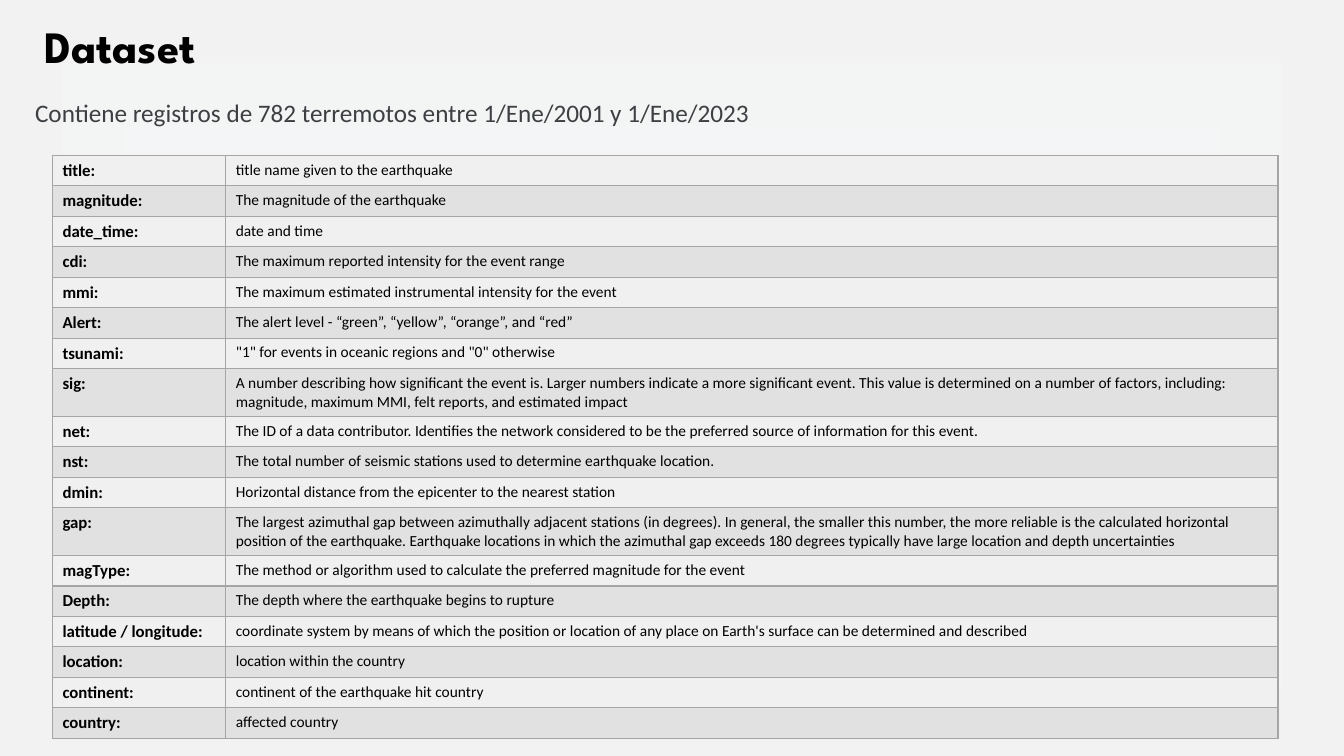
from dataclasses import dataclass

import lxml.etree
import pptx
import pptx.dml.color
import pptx.enum.text
import pptx.oxml.ns
import pptx.shapes.base
import pptx.slide
import pptx.table
import pptx.text.text
import pptx.util

# Grid of square cells, twelve to the inch
GRID_COLUMNS, GRID_ROWS = 160, 90
CELL = pptx.util.Inches(1) / 12


@dataclass(frozen=True)
class Theme:
    background_center: str = "F7FAFD"
    background_edge: str = "F2F2F2"
    text: str = "000000"
    subtitle: str = "3C4043"
    border: str = "A5A5A5"
    bands: tuple[str, str] = ("F0F0F0", "E1E1E1")
    title_font: str = "League Spartan"
    body_font: str = "Calibri"
    title_size: int = 32
    subtitle_size: int = 18
    name_size: int = 12
    description_size: int = 11
    border_width: int = 1


@dataclass(frozen=True)
class Frame:
    """A place on the slide, in grid columns and rows."""
    left: float
    top: float
    width: float
    height: float


@dataclass(frozen=True)
class Field:
    """One column of the dataset and the number of lines its description takes."""
    name: str
    description: str
    lines: int = 1


THEME = Theme()
TITLE_FRAME = Frame(4.08, 3.36, 151.8, 5.04)
SUBTITLE_FRAME = Frame(3, 11.04, 138.36, 4.8)
TABLE_LEFT, TABLE_TOP = 6.24, 18.48
TABLE_COLUMNS = (20.64, 125.28)
ROW_HEIGHTS = {1: 3.63, 2: 5.68}

FIELDS = (
    Field("title:", "title name given to the earthquake"),
    Field("magnitude:", "The magnitude of the earthquake"),
    Field("date_time:", "date and time"),
    Field("cdi:", "The maximum reported intensity for the event range"),
    Field("mmi:", "The maximum estimated instrumental intensity for the event"),
    Field("Alert:", "The alert level - “green”, “yellow”, “orange”, and “red”"),
    Field("tsunami:", '"1" for events in oceanic regions and "0" otherwise'),
    Field("sig:", "A number describing how significant the event is. Larger numbers indicate "
          "a more significant event. This value is determined on a number of factors, including: "
          "magnitude, maximum MMI, felt reports, and estimated impact", lines=2),
    Field("net:", "The ID of a data contributor. Identifies the network considered to be "
          "the preferred source of information for this event."),
    Field("nst:", "The total number of seismic stations used to determine earthquake location."),
    Field("dmin:", "Horizontal distance from the epicenter to the nearest station"),
    Field("gap:", "The largest azimuthal gap between azimuthally adjacent stations (in degrees). "
          "In general, the smaller this number, the more reliable is the calculated horizontal "
          "position of the earthquake. Earthquake locations in which the azimuthal gap exceeds "
          "180 degrees typically have large location and depth uncertainties", lines=2),
    Field("magType:", "The method or algorithm used to calculate the preferred magnitude for the event"),
    Field("Depth:", "The depth where the earthquake begins to rupture"),
    Field("latitude / longitude:", "coordinate system by means of which the position or location "
          "of any place on Earth's surface can be determined and described"),
    Field("location:", "location within the country"),
    Field("continent:", "continent of the earthquake hit country"),
    Field("country:", "affected country"),
)


def units(cells: float) -> pptx.util.Emu:
    return pptx.util.Emu(round(cells * CELL))


def color(value: str) -> pptx.dml.color.RGBColor:
    return pptx.dml.color.RGBColor.from_string(value)


def place(shape: pptx.shapes.base.BaseShape, frame: Frame) -> None:
    shape.left, shape.top = units(frame.left), units(frame.top)
    shape.width, shape.height = units(frame.width), units(frame.height)


def write(text_frame: pptx.text.text.TextFrame, text: str, *, size: int,
          font: str = THEME.body_font, fill: str = THEME.text, bold: bool = False,
          line_spacing: float = 1.0) -> None:
    paragraph = text_frame.paragraphs[0]
    paragraph.alignment = pptx.enum.text.PP_ALIGN.LEFT
    paragraph.line_spacing = line_spacing
    run = paragraph.add_run()
    run.text = text
    run.font.name, run.font.size, run.font.bold = font, pptx.util.Pt(size), bold
    run.font.color.rgb = color(fill)


def paint_background(slide: pptx.slide.Slide) -> None:
    fill = slide.background.fill
    fill.gradient()
    for stop, value in zip(fill.gradient_stops, (THEME.background_center, THEME.background_edge)):
        stop.color.rgb = color(value)
    qn = pptx.oxml.ns.qn
    gradient = slide.element.find(f".//{qn('a:gradFill')}")
    gradient.remove(gradient.find(qn("a:lin")))
    shade = lxml.etree.SubElement(gradient, qn("a:path"), {"path": "shape"})
    lxml.etree.SubElement(shade, qn("a:fillToRect"), dict.fromkeys("ltrb", "50000"))


def outline_cell(cell: pptx.table._Cell) -> None:
    qn = pptx.oxml.ns.qn
    properties = cell._tc.get_or_add_tcPr()
    width = str(int(pptx.util.Pt(THEME.border_width)))
    for index, side in enumerate(("lnL", "lnR", "lnT", "lnB")):
        line = lxml.etree.Element(qn(f"a:{side}"), {"w": width})
        solid = lxml.etree.SubElement(line, qn("a:solidFill"))
        lxml.etree.SubElement(solid, qn("a:srgbClr"), {"val": THEME.border})
        properties.insert(index, line)


def add_field_table(slide: pptx.slide.Slide, fields: tuple[Field, ...]) -> None:
    heights = [ROW_HEIGHTS[field.lines] for field in fields]
    table = slide.shapes.add_table(
        len(fields), len(TABLE_COLUMNS), units(TABLE_LEFT), units(TABLE_TOP),
        units(sum(TABLE_COLUMNS)), units(sum(heights))).table
    table.first_row = table.horz_banding = False
    for column, width in zip(table.columns, TABLE_COLUMNS):
        column.width = units(width)
    for index, (field, row) in enumerate(zip(fields, table.rows)):
        row.height = units(heights[index])
        name_cell, description_cell = row.cells
        write(name_cell.text_frame, field.name, size=THEME.name_size, bold=True)
        write(description_cell.text_frame, field.description, size=THEME.description_size)
        for cell in (name_cell, description_cell):
            cell.fill.solid()
            cell.fill.fore_color.rgb = color(THEME.bands[index % 2])
            outline_cell(cell)


def main() -> None:
    presentation = pptx.Presentation()
    presentation.slide_width = units(GRID_COLUMNS)
    presentation.slide_height = units(GRID_ROWS)
    slide = presentation.slides.add_slide(presentation.slide_layouts.get_by_name("Title Only"))
    paint_background(slide)

    # Title
    title = slide.shapes.title
    place(title, TITLE_FRAME)
    title.text_frame.auto_size = pptx.enum.text.MSO_AUTO_SIZE.NONE
    title.text_frame.vertical_anchor = pptx.enum.text.MSO_ANCHOR.MIDDLE
    write(title.text_frame, "Dataset", size=THEME.title_size, font=THEME.title_font,
          bold=True, line_spacing=0.9)

    # Subtitle
    subtitle = slide.shapes.add_textbox(0, 0, 0, 0)
    place(subtitle, SUBTITLE_FRAME)
    subtitle.text_frame.word_wrap = True
    subtitle.text_frame.auto_size = pptx.enum.text.MSO_AUTO_SIZE.SHAPE_TO_FIT_TEXT
    write(subtitle.text_frame, "Contiene registros de 782 terremotos entre 1/Ene/2001 y 1/Ene/2023",
          size=THEME.subtitle_size, fill=THEME.subtitle)

    # Field descriptions
    add_field_table(slide, FIELDS)
    presentation.save("out.pptx")


if __name__ == "__main__":
    main()
